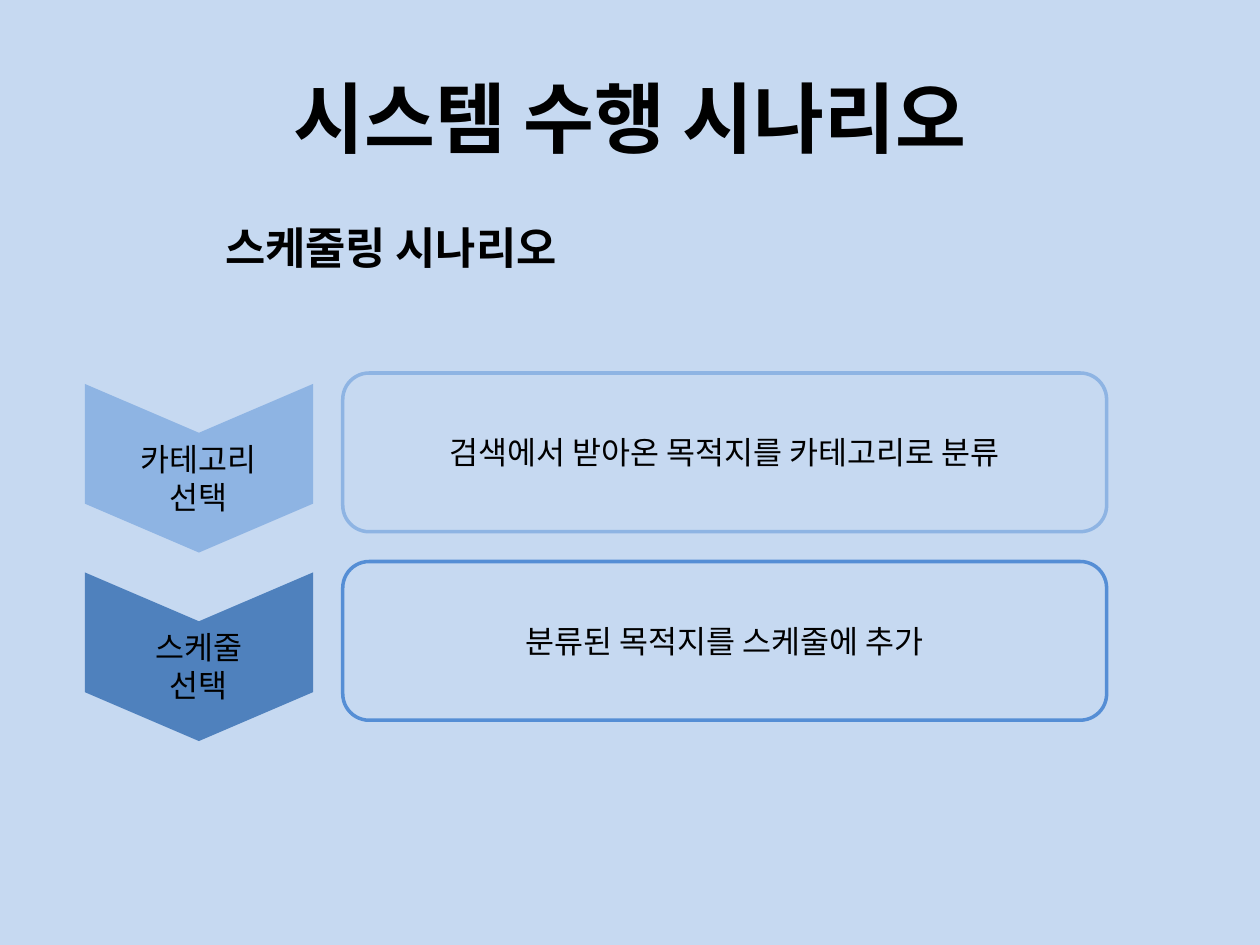
from lxml.etree import SubElement
from pptx import Presentation
from pptx.dml.color import RGBColor
from pptx.enum.shapes import MSO_SHAPE
from pptx.enum.text import MSO_ANCHOR, MSO_AUTO_SIZE, PP_ALIGN
from pptx.oxml.ns import qn
from pptx.util import Cm, Pt

FONT = "Noto Sans CJK KR"
ROW_PITCH = 3.8
STEPS = [
    ("카테고리\n선택", 3.07, "검색에서 받아온 목적지를 카테고리로 분류", "8EB4E3", "8EB4E3"),
    ("스케줄\n선택", 2.44, "분류된 목적지를 스케줄에 추가", "4F81BD", "558ED5"),
]


def color(value):
    """Return the colour for a hex string."""
    return RGBColor.from_string(value)


def write_text(shape, text, size=18, bold=False, align=PP_ALIGN.CENTER,
               anchor=MSO_ANCHOR.MIDDLE, wrap=True, grow=False):
    """Fill a shape with formatted text, one paragraph a line."""
    frame = shape.text_frame
    frame.word_wrap = wrap
    frame.vertical_anchor = anchor
    frame.auto_size = MSO_AUTO_SIZE.SHAPE_TO_FIT_TEXT if grow else MSO_AUTO_SIZE.NONE
    frame.text = text
    for paragraph in frame.paragraphs:
        paragraph.alignment = align
        for run in paragraph.runs:
            run.font.size = Pt(size)
            run.font.bold = bold
            run.font.color.rgb = color("000000")
            run.font.name = FONT
            SubElement(run.font._element, qn("a:ea"), typeface=FONT)


def add_text(slide, text, left, top, width, height, **text_format):
    """Add a text box with formatted text."""
    box = slide.shapes.add_textbox(Cm(left), Cm(top), Cm(width), Cm(height))
    write_text(box, text, **text_format)


def add_heading(slide, left, top, width):
    """Place the title and the subtitle below it."""
    add_text(slide, "시스템 수행 시나리오", left, top, width, 3.18, size=44, bold=True)
    add_text(slide, "스케줄링 시나리오", left + 3.02, top + 3.56, 8, 1.32, size=25,
             bold=True, align=PP_ALIGN.LEFT, anchor=MSO_ANCHOR.TOP, grow=True)


def add_step(slide, left, top, step):
    """Place one chevron with its label and the description beside it."""
    label, label_width, description, fill, outline = step
    length, breadth = 3.4, 4.6
    center_x, center_y = left + breadth / 2, top + 1.92
    chevron = slide.shapes.add_shape(
        MSO_SHAPE.CHEVRON, Cm(center_x - length / 2), Cm(center_y - breadth / 2),
        Cm(length), Cm(breadth))
    chevron.rotation = 90
    chevron.adjustments[0] = 0.29
    chevron.shadow.inherit = False
    chevron.fill.solid()
    chevron.fill.fore_color.rgb = color(fill)
    chevron.line.fill.background()
    add_text(slide, label, center_x - label_width / 2, top + 1.22, label_width, 1.8,
             anchor=MSO_ANCHOR.TOP, wrap=False, grow=True)

    panel = slide.shapes.add_shape(
        MSO_SHAPE.ROUNDED_RECTANGLE, Cm(left + 5.2), Cm(top), Cm(15.4), Cm(3.2))
    panel.shadow.inherit = False
    panel.fill.background()
    panel.line.color.rgb = color(outline)
    panel.line.width = Pt(2)
    write_text(panel, description)


def main():
    """Build the scenario slide and save it."""
    presentation = Presentation()
    presentation.slide_width, presentation.slide_height = Cm(25.4), Cm(19.05)
    slide = presentation.slides.add_slide(presentation.slide_layouts[6])
    slide.background.fill.solid()
    slide.background.fill.fore_color.rgb = color("C6D9F1")
    add_heading(slide, 1.27, 0.76, 22.86)
    for row, step in enumerate(STEPS):
        add_step(slide, 1.71, 7.52 + row * ROW_PITCH, step)
    presentation.save("out.pptx")


if __name__ == "__main__":
    main()
